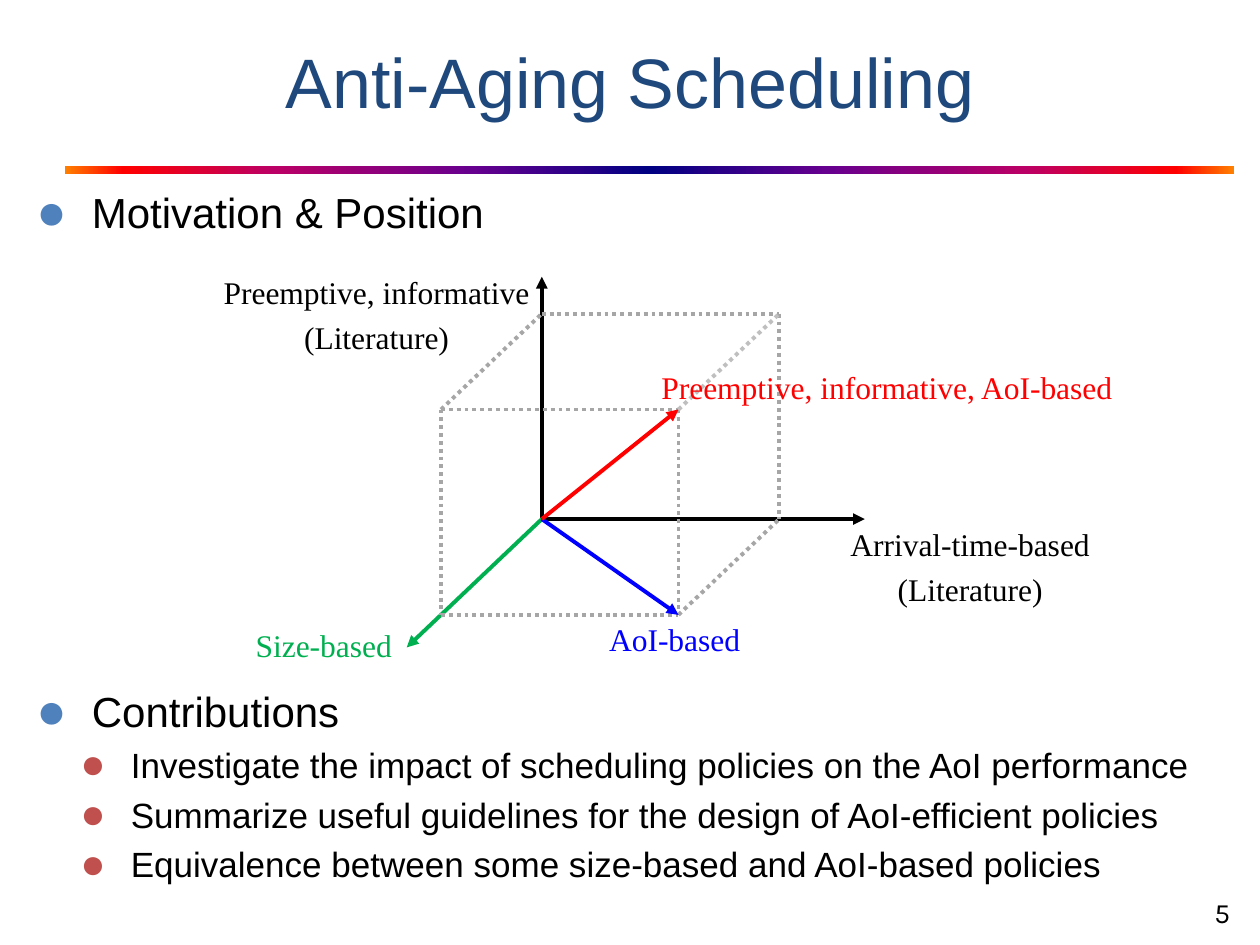
from dataclasses import dataclass

from lxml import etree
from pptx import Presentation
from pptx import util as u
from pptx.dml.color import RGBColor
from pptx.enum import dml, shapes, text
from pptx.oxml import ns

# Grid of 100 columns by 75 rows
COLUMNS, ROWS = 100, 75
WIDTH, HEIGHT = u.Inches(10), u.Inches(7.5)
COLORS = {
    "title": "1F497D", "black": "000000", "white": "FFFFFF",
    "bullet": "4F81BD", "sub_bullet": "C0504D",
    "green": "00B050", "blue": "0000FF", "red": "FF0000",
    "edge": "A6A6A6", "pale_edge": "BFBFBF",
}
RULE_STOPS = [(0, "FF8200"), (5, "FF0000"), (18, "BA0066"), (35, "66008F"),
              (50, "000082"), (65, "66008F"), (82, "BA0066"), (95, "FF0000"),
              (100, "FF8200")]


@dataclass
class Box:
    left: float
    top: float
    width: float
    height: float


@dataclass
class Label:
    box: Box
    lines: list[str]
    color: str = "black"


@dataclass
class Level:
    size: int
    indent: float
    hanging: float
    before: float
    bullet: str


@dataclass
class Segment:
    start: tuple[float, float, float]
    end: tuple[float, float, float]
    color: str
    arrow: bool = False


HEADING = Level(24, 4.4, 4.4, 5.8, "bullet")
POINT = Level(20, 7.5, 4, 4.4, "sub_bullet")


def across(columns: float) -> int:
    return round(columns * WIDTH / COLUMNS)


def down(rows: float) -> int:
    return round(rows * HEIGHT / ROWS)


def place(box: Box) -> tuple[int, int, int, int]:
    return across(box.left), down(box.top), across(box.width), down(box.height)


def rgb(name: str) -> RGBColor:
    return RGBColor.from_string(COLORS[name])


def add(parent, tag: str, **attributes: str):
    return etree.SubElement(parent, ns.qn(tag), attributes)


def add_frame(page, box: Box, wrap: bool = True):
    frame = page.shapes.add_textbox(*place(box)).text_frame
    frame.word_wrap = wrap
    return frame


def add_para(frame, index: int, words: str, size: float, font: str, color: str):
    para = frame.add_paragraph() if index else frame.paragraphs[0]
    para.text = words
    para.font.size, para.font.name = u.Pt(size), font
    para.font.color.rgb = rgb(color)
    return para


def add_label(page, label: Label) -> None:
    frame = add_frame(page, label.box, wrap=False)
    for index, words in enumerate(label.lines):
        para = add_para(frame, index, words, 18, "Times New Roman", label.color)
        para.alignment = text.PP_ALIGN.CENTER
        para.space_before = u.Pt(4)


def add_bullets(page, box: Box, items: list[tuple[Level, str]]) -> None:
    frame = add_frame(page, box)
    for index, (level, words) in enumerate(items):
        para = add_para(frame, index, words, level.size, "Arial", "black")
        para.space_before = u.Pt(level.before)
        para.level = 0 if level is HEADING else 1
        props = para._p.get_or_add_pPr()
        props.set("marL", str(across(level.indent)))
        props.set("indent", str(-across(level.hanging)))
        marker = add(props, "a:buClr")
        add(marker, "a:srgbClr", val=COLORS[level.bullet])
        add(props, "a:buSzPct", val="120000")
        add(props, "a:buFont", typeface="Arial")
        add(props, "a:buChar", char="●")
        # Run defaults follow the bullet settings
        props.append(props.find(ns.qn("a:defRPr")))


def add_rule(page, box: Box) -> None:
    rule = page.shapes.add_shape(shapes.MSO_SHAPE.RECTANGLE, *place(box))
    rule.shadow.inherit = False
    rule.line.color.rgb, rule.line.width = rgb("white"), u.Pt(0.75)
    rule.fill.gradient()
    rule.fill.gradient_angle = 0
    stops = rule._element.spPr.find(".//" + ns.qn("a:gsLst"))
    for stop in list(stops):
        stops.remove(stop)
    for percent, color in RULE_STOPS:
        add(add(stops, "a:gs", pos=str(percent * 1000)), "a:srgbClr", val=color)


def project(point: tuple[float, float, float]) -> tuple[int, int]:
    """Place a point, given in cuboid edge lengths, on the slide."""
    x, y, z = point
    return across(43 + 18.85 * x - 8 * z), down(41.2 - 16.3 * y + 7.6 * z)


def add_segment(page, segment: Segment) -> None:
    line = page.shapes.add_connector(shapes.MSO_CONNECTOR.STRAIGHT,
                                     *project(segment.start), *project(segment.end))
    line.line.color.rgb, line.line.width = rgb(segment.color), u.Pt(2.25)
    if segment.arrow:
        add(line.line._get_or_add_ln(), "a:tailEnd", type="triangle")
    else:
        line.line.dash_style = dml.MSO_LINE.ROUND_DOT
    add(line._element.spPr, "a:effectLst")


ORIGIN = (0, 0, 0)
AXES = [Segment(ORIGIN, tip, color, True) for tip, color in [
    ((1.36, 0, 0), "black"), ((0, 1.18, 0), "black"), ((0, 0, 1.34), "green")]]
EDGES = [Segment(start, end, "edge") for start, end in [
    ((0, 0, 1), (1, 0, 1)), ((1, 0, 1), (1, 0, 0)), ((1, 1, 0), (1, 0, 0)),
    ((0, 1, 0), (1, 1, 0)), ((0, 1, 1), (0, 0, 1)), ((0, 1, 1), (0, 1, 0)),
    ((0, 1, 1), (1, 1, 1)), ((1, 1, 1), (1, 0, 1))]]
EDGES.append(Segment((1, 1, 1), (1, 1, 0), "pale_edge"))
VECTORS = [Segment(ORIGIN, (1, 0, 1), "blue", True),
           Segment(ORIGIN, (1, 1, 1), "red", True)]
LABELS = [
    Label(Box(19.2, 49.2, 13, 4), ["Size-based"], "green"),
    Label(Box(66.4, 41.2, 21.2, 7.7), ["Arrival-time-based", "(Literature)"]),
    Label(Box(47.3, 48.7, 12.5, 4), ["AoI-based"], "blue"),
    Label(Box(16.6, 21.2, 26.6, 7.7), ["Preemptive, informative", "(Literature)"]),
    Label(Box(51.3, 28.7, 38.2, 4), ["Preemptive, informative, AoI-based"], "red"),
]


def main() -> None:
    deck = Presentation()
    deck.slide_width, deck.slide_height = WIDTH, HEIGHT
    page = deck.slides.add_slide(deck.slide_layouts[6])

    # Rule, page number and title
    add_rule(page, Box(5.1, 13.1, 92.9, 0.8))
    add_para(add_frame(page, Box(95.4, 70.6, 5.4, 3.7)), 0, "5", 16, "Karla", "black")
    frame = add_frame(page, Box(2.4, 3.9, 95.2, 6.8))
    frame.vertical_anchor = text.MSO_ANCHOR.BOTTOM
    frame.margin_bottom = u.Inches(0.1)
    title = add_para(frame, 0, "Anti-Aging Scheduling", 40, "Arial", "title")
    title.alignment = text.PP_ALIGN.CENTER

    # Bulleted text
    add_bullets(page, Box(1.9, 14.3, 85, 5.1), [(HEADING, "Motivation & Position")])
    add_bullets(page, Box(1.9, 53.9, 98.1, 10.8), [
        (HEADING, "Contributions"),
        (POINT, "Investigate the impact of scheduling policies on the AoI performance"),
        (POINT, "Summarize useful guidelines for the design of AoI-efficient policies"),
        (POINT, "Equivalence between some size-based and AoI-based policies"),
    ])

    # Diagram of the policy space
    for segment in AXES + EDGES + VECTORS:
        add_segment(page, segment)
    for label in LABELS:
        add_label(page, label)

    deck.save("out.pptx")


if __name__ == "__main__":
    main()
